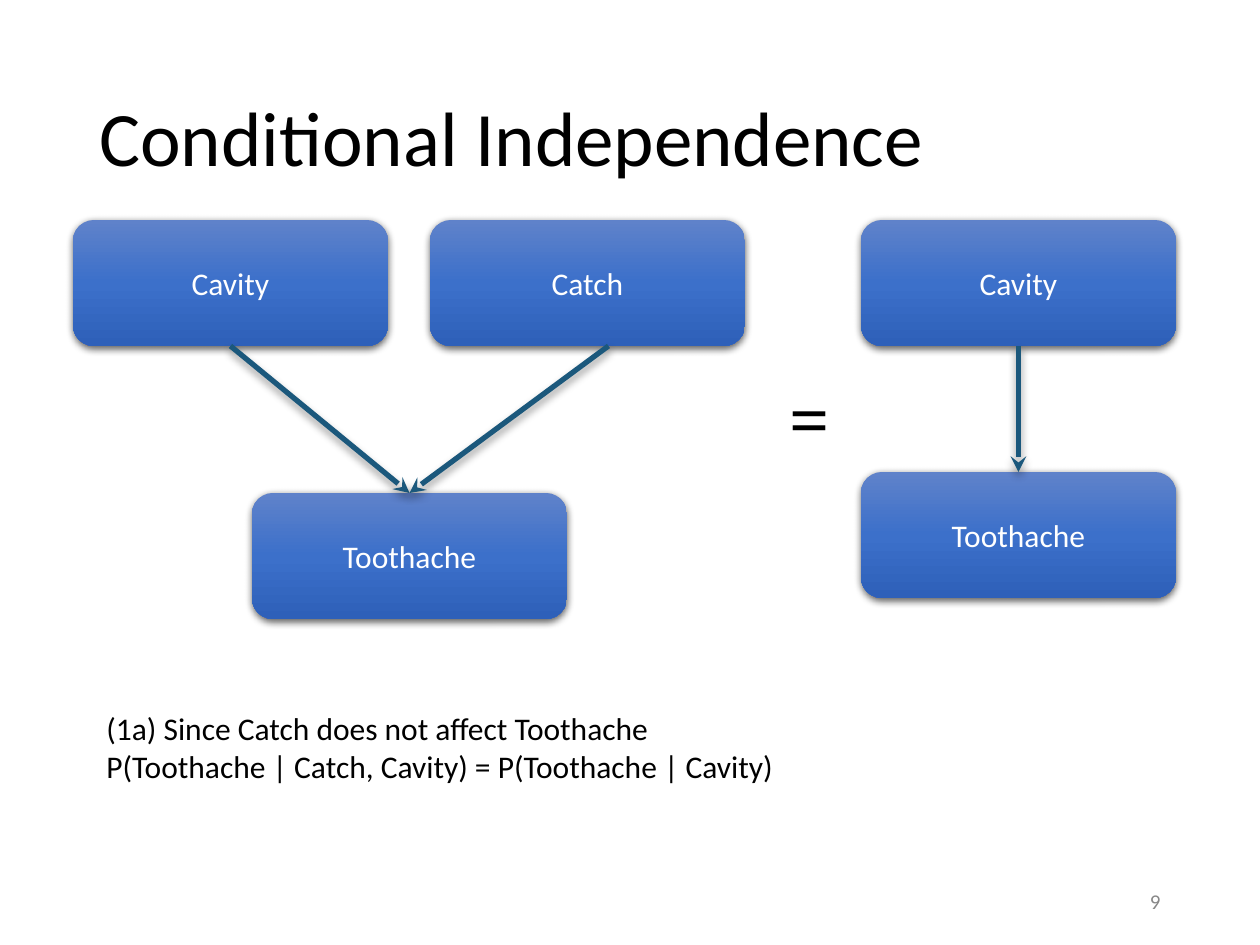
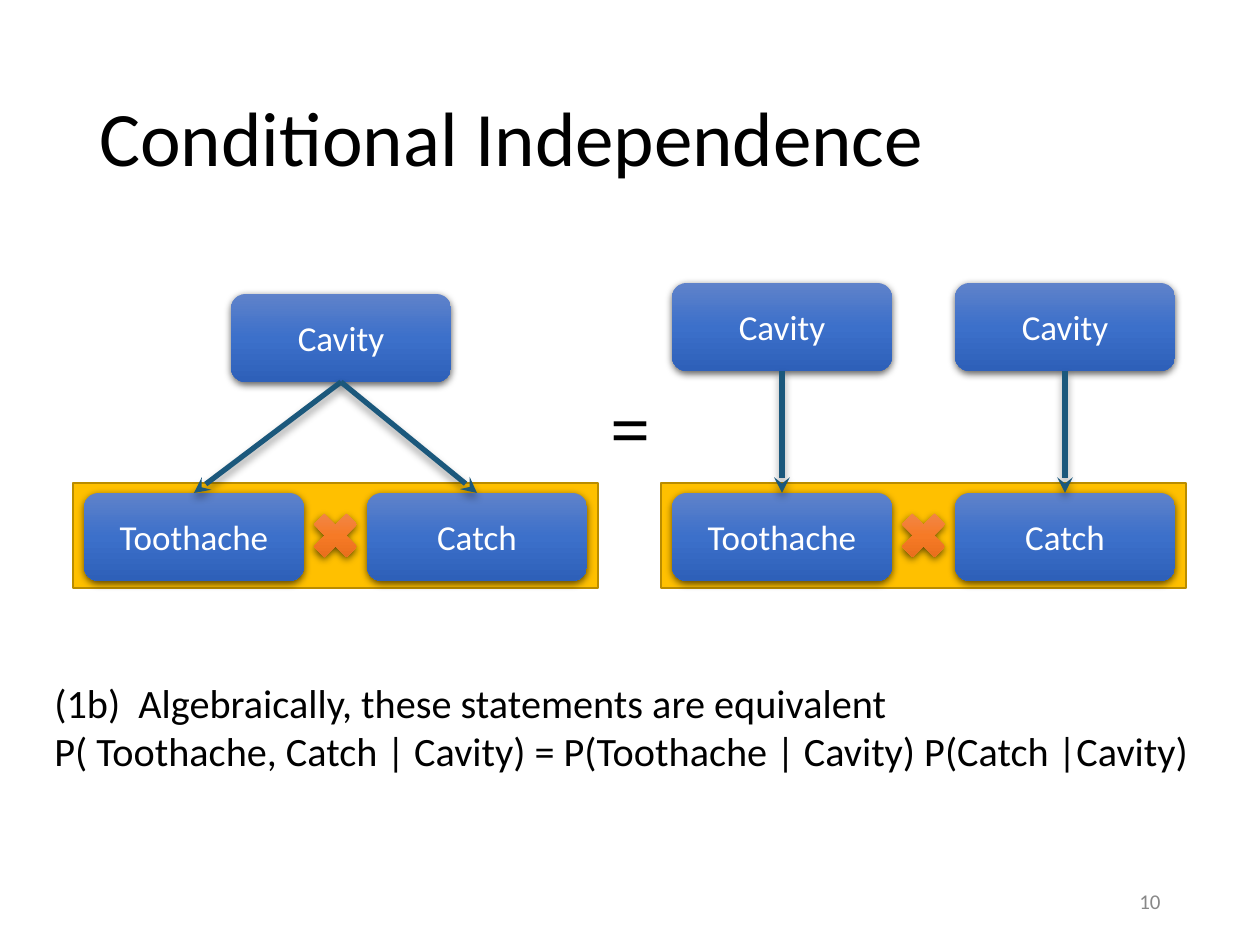
from copy import deepcopy
from dataclasses import dataclass

from pptx import Presentation
from pptx import util as u
from pptx.dml.color import RGBColor
from pptx.enum import shapes, text
from pptx.oxml import parse_xml
from pptx.oxml.ns import nsdecls, qn

PX = 914400 / 126  # EMU in one px


@dataclass(frozen=True)
class Theme:
    font: str = "Calibri"
    symbol_font: str = "Times New Roman"
    ink: str = "000000"
    muted: str = "888888"
    white: str = "FFFFFF"
    arrow: str = "1B587C"
    band: str = "FFC000"
    band_edge: str = "BA8C00"
    node: tuple = ("5F82CA", "3C70CA", "2E60B9")
    times: tuple = ("F08B54", "F67A26", "E36A18")
    title_size: int = 44
    equals_size: int = 40
    number_size: int = 12


T = Theme()
ALTERNATE = shapes.MSO_SHAPE.FLOWCHART_ALTERNATE_PROCESS
MULTIPLY = shapes.MSO_SHAPE.MATH_MULTIPLY
LEFT, CENTER, RIGHT = text.PP_ALIGN.LEFT, text.PP_ALIGN.CENTER, text.PP_ALIGN.RIGHT
TOP, MIDDLE = text.MSO_ANCHOR.TOP, text.MSO_ANCHOR.MIDDLE


def write(s, content, size, color=T.ink, font=T.font, bold=False,
          align=LEFT, anchor=TOP, spacing=None):
    """Fill a shape or text box, one paragraph per line."""
    tf = s.text_frame
    tf.word_wrap = True
    tf.vertical_anchor = anchor
    for i, line in enumerate(content.split("\n")):
        p = tf.add_paragraph() if i else tf.paragraphs[0]
        p.alignment = align
        p.line_spacing = spacing
        r = p.add_run()
        r.text = line
        r.font.name, r.font.size, r.font.bold = font, u.Pt(size), bold
        r.font.color.rgb = RGBColor.from_string(color)


def add_shadow(s, blur, drop, opacity):
    """Cast a black shadow straight down; call after fill and line are set."""
    s._element.spPr.append(parse_xml(
        f'<a:effectLst {nsdecls("a")}>'
        f'<a:outerShdw blurRad="{u.Pt(blur)}" dist="{u.Pt(drop)}" dir="5400000" rotWithShape="0">'
        f'<a:srgbClr val="000000"><a:alpha val="{opacity * 1000}"/></a:srgbClr>'
        '</a:outerShdw></a:effectLst>'))


# Content, lengths in px; a link is (from, to, start offset from the middle)
slides = [
    dict(
        number="9", node_size=(315, 126), label_size=18,
        nodes=[("Cavity", 73, 220), ("Toothache", 252, 493), ("Catch", 430, 220),
               ("Cavity", 861, 220), ("Toothache", 861, 472)],
        links=[(3, 4, 0), (0, 1, 0), (2, 1, 21)],
        groups=[], equals=(777, 368),
        note="(1a) Since Catch does not affect Toothache\n"
             "P(Toothache | Catch, Cavity) = P(Toothache | Cavity)",
        note_box=(94, 703, 1103, 115), note_size=18,
    ),
    dict(
        number="10", node_size=(220, 88), label_size=20,
        nodes=[("Cavity", 231, 294), ("Toothache", 84, 493), ("Catch", 367, 493),
               ("Cavity", 672, 283), ("Toothache", 672, 493),
               ("Cavity", 955, 283), ("Catch", 955, 493)],
        links=[(0, 1, 0), (0, 2, 0), (3, 4, 0), (5, 6, 0)],
        groups=[73, 661], equals=(598, 378),
        note="(1b)  Algebraically, these statements are equivalent\n"
             "P( Toothache, Catch | Cavity) = P(Toothache | Cavity) P(Catch |Cavity)",
        note_box=(42, 672, 1187, 111), note_size=23,
    ),
]

prs = Presentation()
prs.slide_width, prs.slide_height = round(1260 * PX), round(945 * PX)

for page in slides:
    sp = prs.slides.add_slide(prs.slide_layouts[6]).shapes

    # Bands behind the joint variables
    for x in page["groups"]:
        s = sp.add_shape(shapes.MSO_SHAPE.RECTANGLE,
                         *(round(v * PX) for v in (x, 483, 525, 105)))
        s.shadow.inherit = False
        s.fill.solid()
        s.fill.fore_color.rgb = RGBColor.from_string(T.band)
        s.line.color.rgb = RGBColor.from_string(T.band_edge)
        s.line.width = u.Pt(1)

    # Title, page number, note and equals sign
    texts = [
        ("Conditional Independence", (87, 50, 1086, 183),
         dict(size=T.title_size, anchor=MIDDLE, spacing=0.9)),
        (page["number"], (890, 876, 283, 50),
         dict(size=T.number_size, color=T.muted, align=RIGHT, anchor=MIDDLE)),
        (page["note"], page["note_box"], dict(size=page["note_size"])),
        ("=", (*page["equals"], 66, 97),
         dict(size=T.equals_size, font=T.symbol_font, bold=True)),
    ]
    for content, box, style in texts:
        write(sp.add_textbox(*(round(v * PX) for v in box)), content, **style)

    # Nodes, then a times sign in each band, all with a vertical gradient
    w, h = page["node_size"]
    glossy = [(label, ALTERNATE, T.node, (x, y, w, h)) for label, x, y in page["nodes"]]
    glossy += [("", MULTIPLY, T.times, (x + 231, 504, 63, 63)) for x in page["groups"]]
    drawn = []
    for label, kind, colors, box in glossy:
        s = sp.add_shape(kind, *(round(v * PX) for v in box))
        s.fill.gradient()
        s.fill.gradient_angle = 270
        stops = s._element.spPr.find(".//" + qn("a:gsLst"))
        stops.append(deepcopy(stops[0]))
        for stop, color, position in zip(s.fill.gradient_stops, colors, (0, 0.5, 1)):
            stop.color.rgb = RGBColor.from_string(color)
            stop.position = position
        s.line.fill.background()
        add_shadow(s, blur=4.5, drop=1.5, opacity=63)
        if label:
            write(s, label, page["label_size"], T.white, align=CENTER, anchor=MIDDLE)
        drawn.append(s)

    # Arrows from cause to effect
    for start, end, offset in page["links"]:
        a, b = drawn[start], drawn[end]
        s = sp.add_connector(shapes.MSO_CONNECTOR.STRAIGHT,
                             a.left + a.width // 2 + round(offset * PX), a.top + a.height,
                             b.left + b.width // 2, b.top)
        if not offset:
            s.begin_connect(a, 2)
        s.end_connect(b, 0)
        s.line.color.rgb = RGBColor.from_string(T.arrow)
        s.line.width = u.Pt(3)
        s.line._get_or_add_ln().append(
            parse_xml(f'<a:tailEnd {nsdecls("a")} type="stealth"/>'))
        add_shadow(s, blur=5, drop=3, opacity=40)

prs.save("out.pptx")
